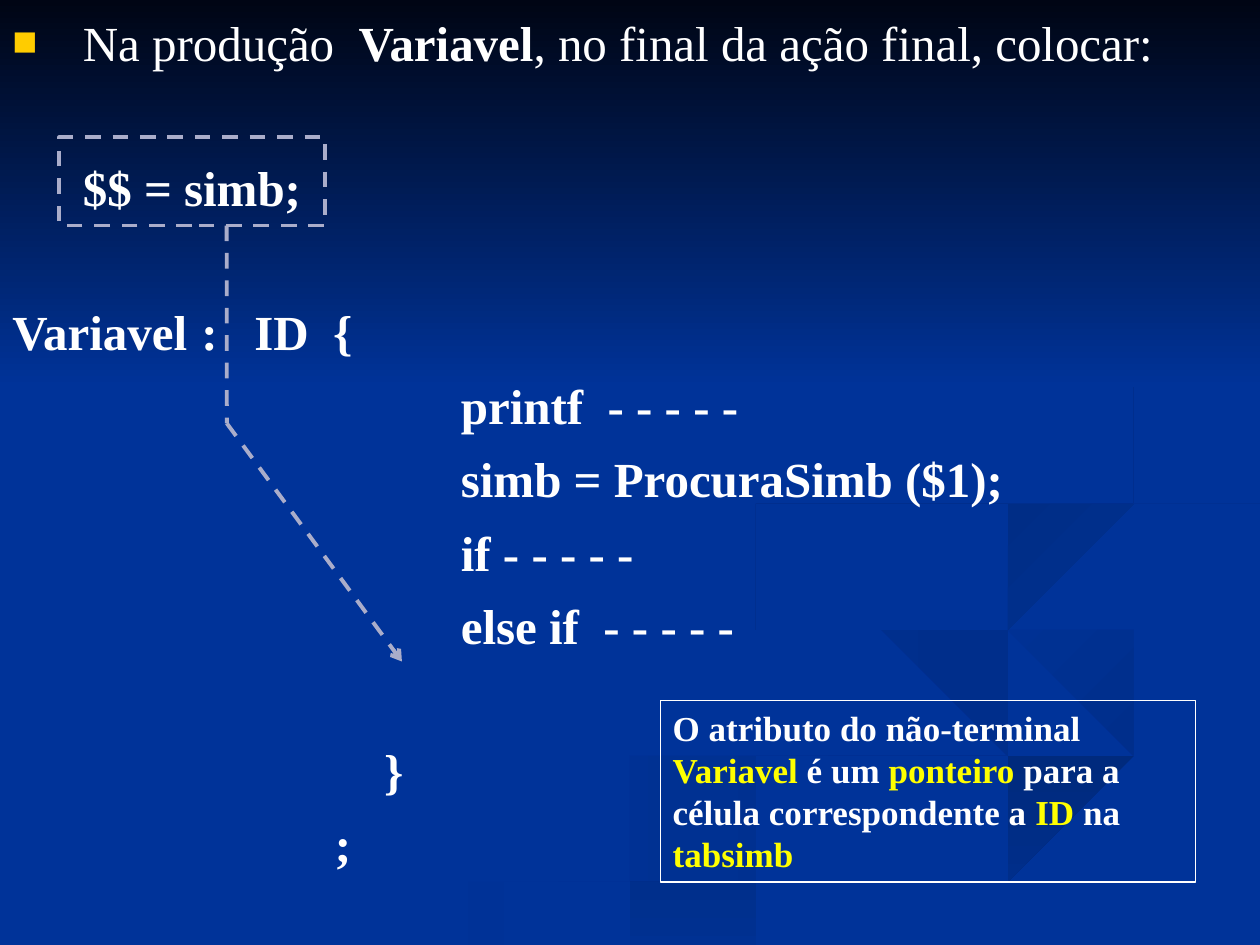
from lxml.etree import SubElement
from pptx import Presentation
from pptx.dml.color import RGBColor
from pptx.enum.dml import MSO_LINE_DASH_STYLE as Dash
from pptx.enum.shapes import MSO_CONNECTOR as Connector, MSO_SHAPE as Shape
from pptx.enum.text import MSO_ANCHOR as Anchor, PP_ALIGN as Align
from pptx.oxml.ns import qn
from pptx.util import Inches, Pt

COLUMNS, ROWS = 10, 7.5
CELL = Inches(1)
FONT = "Times New Roman"
BLUE, WHITE, YELLOW, LILAC = "003399", "FFFFFF", "FFFF00", "AAADCA"
LINE_GAP, BLANK_GAP = 8.4, 49
MARGIN, CODE, BRACE, SEMICOLON = 0.56, 3.56, 2.95, 2.56
STEPS = 5

WAVES = [
    (BLUE, "002E8B", 0, [
        (7.8, 5.5), (6.6, 5.1), (5.75, 4.6), (6.5, 5.1), (7.8, 5.6), (7.3, 6),
        (5.4, 6.5), (3, 7.5), (3.6, 7.5), (5.6, 6.65), (7.6, 6.1), (8, 5.8)]),
    (BLUE, "002E8B", 45, [
        (9.4, 5.7), (8.7, 5.3), (7.25, 4.65), (8.2, 5.3), (9.15, 5.8), (8.95, 6.05)]),
    ("002A7D", BLUE, 90, [
        (5, 7.5), (5.7, 7.5), (7.2, 6.8), (10, 6.1), (10, 5.8), (7, 6.7)]),
    (BLUE, BLUE, 0, [
        (7.25, 4.6), (8.1, 5.15), (9.4, 5.7), (8.1, 6.25), (4.8, 7.5), (5.2, 7.5),
        (7, 6.7), (10, 5.8), (10, 5.4), (7.8, 4.65), (10, 4), (10, 3.9), (8.1, 4.2)]),
    ("002D86", BLUE, 45, [
        (7.8, 4.6), (8.25, 4.95), (8.05, 4.7), (8.8, 4.4), (10, 4.2), (10, 4), (8.4, 4.3)]),
    ("002B82", BLUE, 45, [
        (6.8, 4.3), (8.25, 4), (8.95, 3.4), (7.6, 2.3), (8.9, 3.35), (7.9, 3.9),
        (6.25, 4.25), (5.8, 4.6), (6.2, 5), (5.95, 4.65)]),
]

PRODUCTION = [
    (MARGIN, BLANK_GAP, "$$ = simb;"),
    (0, BLANK_GAP, "Variavel\t:   ID  {"),
    (CODE, LINE_GAP, "printf  - - - - -"),
    (CODE, LINE_GAP, "simb = ProcuraSimb ($1);"),
    (CODE, LINE_GAP, "if - - - - -"),
    (CODE, LINE_GAP, "else if  - - - - -"),
    (BRACE, BLANK_GAP, "}"),
    (SEMICOLON, LINE_GAP, ";"),
]


def color(value):
    """Turn a hex string into a colour."""
    return RGBColor.from_string(value)


def place(box):
    """Turn columns and rows into slide lengths."""
    return [round(CELL * part) for part in box]


def blend(before, start, end, after, t):
    """Find the value at share t of a smooth curve from start to end."""
    slope_in, slope_out = (end - before) / 2, (after - start) / 2
    rise = end - start
    return (start + slope_in * t + (3 * rise - 2 * slope_in - slope_out) * t ** 2
            + (slope_in + slope_out - 2 * rise) * t ** 3)


def smooth(points, limits):
    """Round a closed outline and keep it within the limits."""
    count = len(points)
    outline = []
    for i in range(count):
        corners = [points[(i + shift) % count] for shift in (-1, 0, 1, 2)]
        for step in range(STEPS):
            spot = [blend(*values, step / STEPS) for values in zip(*corners)]
            outline.append([min(part, limit) for part, limit in zip(spot, limits)])
    return outline


def shade(shape, start, end, angle):
    """Fill a shape with a gradient and take away its line and shadow."""
    shape.shadow.inherit = False
    shape.line.fill.background()
    shape.fill.gradient()
    shape.fill.gradient_angle = (360 - angle) % 360
    for stop, value in zip(shape.fill.gradient_stops, (start, end)):
        stop.color.rgb = color(value)


def draw_backdrop(slide, box):
    """Draw the waves and the dark band across the top of the box."""
    left, top, width, height = box
    for start, end, angle, points in WAVES:
        outline = [(left + x, top + y) for x, y in smooth(points, (width, height))]
        builder = slide.shapes.build_freeform(*outline[0], scale=CELL)
        builder.add_line_segments(outline[1:], close=True)
        shade(builder.convert_to_shape(), start, end, angle)
    band = slide.shapes.add_shape(Shape.RECTANGLE, *place((left, top, width, height * 0.41)))
    shade(band, "000514", BLUE, 90)


def add_words(paragraph, words, size):
    """Add runs of text, colour and weight to a paragraph."""
    for text, value, bold in words:
        run = paragraph.add_run()
        run.text = text
        run.font.name, run.font.size, run.font.bold = FONT, Pt(size), bold
        run.font.color.rgb = color(value)


def set_indent(paragraph, margin, hanging=0):
    """Set the left margin and first line indent in columns."""
    properties = paragraph._p.get_or_add_pPr()
    properties.set("marL", str(round(CELL * margin)))
    properties.set("indent", str(round(CELL * -hanging)))
    return properties


def write_production(slide, box):
    """Write the bulleted instruction and the grammar production."""
    frame = slide.shapes.add_textbox(*place(box)).text_frame
    frame.word_wrap = True
    frame.margin_top = Inches(0.1)
    instruction = frame.paragraphs[0]
    properties = set_indent(instruction, MARGIN, MARGIN)
    SubElement(SubElement(properties, qn("a:buClr")), qn("a:srgbClr"), val="FFCC00")
    SubElement(properties, qn("a:buSzPct"), val="85000")
    SubElement(properties, qn("a:buFont"), typeface=FONT)
    SubElement(properties, qn("a:buChar"), char="■")
    add_words(instruction, [("Na produção  ", WHITE, False), ("Variavel", WHITE, True),
                            (", no final da ação final, colocar:", WHITE, False)], 28)
    for margin, gap, code in PRODUCTION:
        line = frame.add_paragraph()
        properties = set_indent(line, margin)
        if "\t" in code:
            stops = SubElement(properties, qn("a:tabLst"))
            SubElement(stops, qn("a:tab"), pos=str(round(CELL * 1.56)), algn="l")
        line.space_before = Pt(gap)
        add_words(line, [(code, WHITE, True)], 28)


def dash(line):
    """Give a line the dashed lilac style."""
    line.color.rgb, line.width, line.dash_style = color(LILAC), Pt(2.25), Dash.DASH


def mark_action(slide, box, bend, tip):
    """Frame the new action and lead a dashed arrow to its place."""
    left, top, width, height = box
    frame = slide.shapes.add_shape(Shape.RECTANGLE, *place(box))
    frame.shadow.inherit = False
    frame.fill.background()
    dash(frame.line)
    route = [(left + width * 0.63, top + height), bend, tip]
    for start, end in zip(route, route[1:]):
        leader = slide.shapes.add_connector(Connector.STRAIGHT, *place(start + end))
        dash(leader.line)
        SubElement(leader._element.spPr, qn("a:effectLst"))
    SubElement(leader.line._get_or_add_ln(), qn("a:tailEnd"), type="arrow")


def write_note(slide, box):
    """Write the outlined note on the attribute."""
    note = slide.shapes.add_shape(Shape.RECTANGLE, *place(box))
    note.shadow.inherit = False
    note.fill.background()
    note.line.color.rgb, note.line.width = color(WHITE), Pt(0.75)
    frame = note.text_frame
    frame.word_wrap, frame.vertical_anchor = True, Anchor.TOP
    frame.paragraphs[0].alignment = Align.LEFT
    pieces = ["O atributo do não-terminal ", "Variavel", " é um ", "ponteiro",
              " para a célula correspondente a ", "ID", " na ", "tabsimb"]
    add_words(frame.paragraphs[0],
              [(piece, (WHITE, YELLOW)[i % 2], True) for i, piece in enumerate(pieces)], 20)


def main():
    """Build the slide and save it."""
    deck = Presentation()
    deck.slide_width, deck.slide_height = place((COLUMNS, ROWS))
    slide = deck.slides.add_slide(deck.slide_layouts[6])
    slide.background.fill.solid()
    slide.background.fill.fore_color.rgb = color(BLUE)
    whole = (0, 0, COLUMNS, ROWS)
    draw_backdrop(slide, whole)
    write_production(slide, whole)
    mark_action(slide, (0.47, 1.09, 2.11, 0.7), (1.8, 3.36), (3.19, 5.25))
    write_note(slide, (5.24, 5.56, 4.25, 1.44))
    deck.save("out.pptx")


if __name__ == "__main__":
    main()
